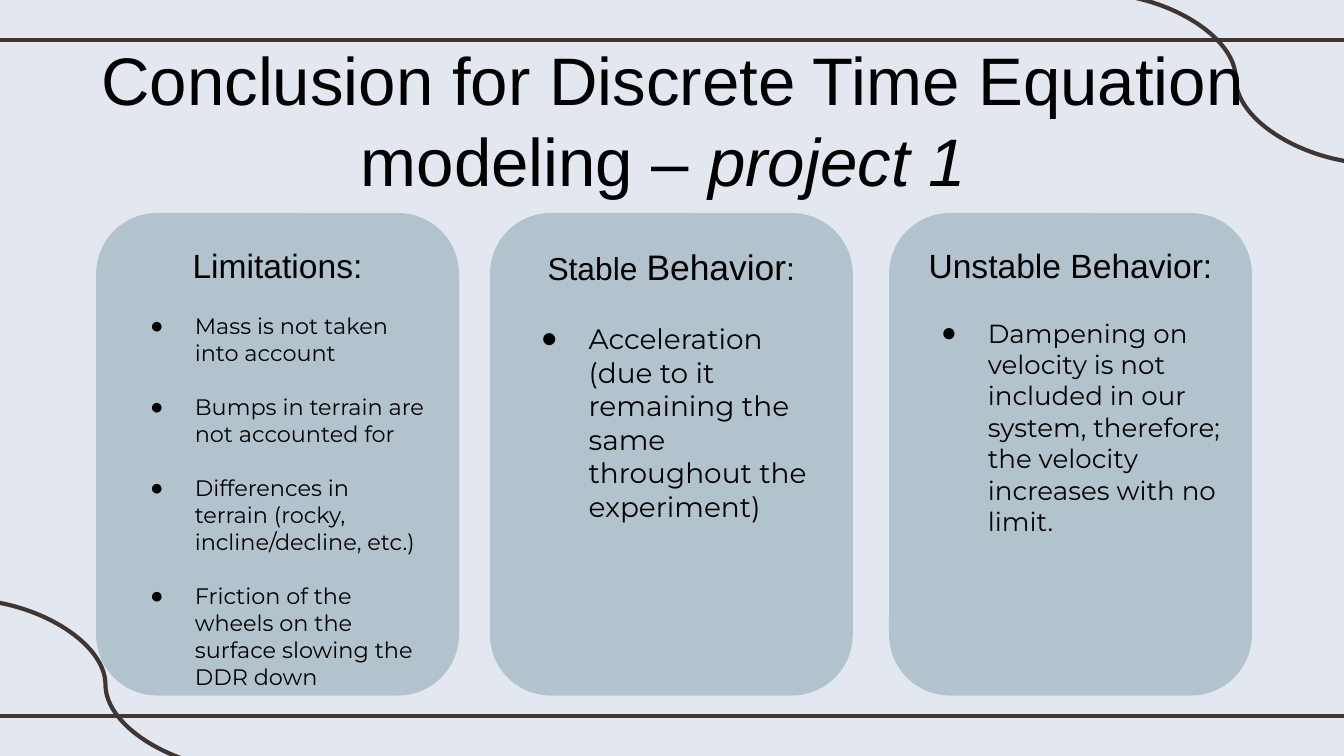
from dataclasses import dataclass

from lxml import etree
from pptx import Presentation
from pptx.dml.color import RGBColor
from pptx.enum.shapes import MSO_CONNECTOR, MSO_SHAPE
from pptx.enum.text import MSO_ANCHOR, MSO_AUTO_SIZE, PP_ALIGN
from pptx.oxml.ns import qn
from pptx.util import Inches, Pt

STRAIGHT, CURVE = MSO_CONNECTOR.STRAIGHT, MSO_CONNECTOR.CURVE
ROUNDED = MSO_SHAPE.ROUNDED_RECTANGLE
TOP = MSO_ANCHOR.TOP
NO_FIT = MSO_AUTO_SIZE.NONE
LEFT, CENTER = PP_ALIGN.LEFT, PP_ALIGN.CENTER


@dataclass(frozen=True)
class Theme:
    """Colours, fonts and type sizes of the deck."""
    background: str = "E3E7F0"
    card: str = "B3C3CE"
    rule: str = "3F3533"
    text: str = "000000"
    heading_font: str = "Arial"
    body_font: str = "Montserrat"
    title_size: float = 36
    title_pitch: float = 43.4
    line_height: float = 1.22
    rule_width: float = 2.25
    card_border: float = 0.75


class Deck:
    """Draws on the current slide, on a grid of 100 columns over its width."""

    def __init__(self, prs, theme):
        """Keep the style and open a title-only slide."""
        self.prs, self.theme = prs, theme
        self.s = prs.slides.add_slide(prs.slide_layouts[5])
        self.paint(self.s.background.fill, theme.background)

    def grid(self, *cells):
        """Turn grid cells into lengths."""
        return [round(self.prs.slide_width * c / 100) for c in cells]

    def paint(self, fill, color):
        """Give a fill one solid colour."""
        fill.solid()
        fill.fore_color.rgb = RGBColor.from_string(color)

    def line(self, kind, *ends):
        """Draw a decorative line between two points."""
        sp = self.s.shapes.add_connector(kind, *self.grid(*ends))
        self.paint(sp.line.fill, self.theme.rule)
        sp.line.width = Pt(self.theme.rule_width)
        etree.SubElement(sp._element.spPr, qn("a:effectLst"))

    def frame(self, sp):
        """Prepare a shape's text frame."""
        tf = sp.text_frame
        tf.word_wrap, tf.auto_size, tf.vertical_anchor = True, NO_FIT, TOP
        tf.margin_left = tf.margin_right = Inches(0.1)
        tf.margin_top = tf.margin_bottom = Inches(0.1)
        return tf

    def run(self, p, text, size, font, italic=False):
        """Add one styled run."""
        r = p.add_run()
        r.text = text
        r.font.size, r.font.name, r.font.italic = Pt(size), font, italic
        r.font.color.rgb = RGBColor.from_string(self.theme.text)

    def title(self, box, parts):
        """Fill the title placeholder and bring it above the lines."""
        sp = self.s.shapes.title
        sp.left, sp.top, sp.width, sp.height = self.grid(*box)
        sp._element.getparent().append(sp._element)
        p = self.frame(sp).paragraphs[0]
        p.alignment, p.line_spacing = CENTER, Pt(self.theme.title_pitch)
        for text, italic in parts:
            self.run(p, text, self.theme.title_size, self.theme.heading_font, italic)

    def bullet(self, tf, text, size):
        """Add a bulleted paragraph one line below the last."""
        p = tf.add_paragraph()
        pPr = p._p.get_or_add_pPr()
        pPr.set("marL", str(Inches(0.5)))
        pPr.set("indent", str(-Inches(0.25 + size / 144)))
        color = etree.SubElement(pPr, qn("a:buClr"))
        etree.SubElement(color, qn("a:srgbClr"), val=self.theme.text)
        etree.SubElement(pPr, qn("a:buFont"), typeface=self.theme.heading_font)
        etree.SubElement(pPr, qn("a:buChar"), char="●")
        p.alignment = LEFT
        p.space_before = Pt(round(size * self.theme.line_height, 1))
        self.run(p, text, size, self.theme.body_font)

    def card(self, box, heading, size, bullets):
        """Draw a rounded card with a heading and a list."""
        sp = self.s.shapes.add_shape(ROUNDED, *self.grid(*box))
        sp.shadow.inherit = False
        self.paint(sp.fill, self.theme.card)
        self.paint(sp.line.fill, self.theme.card)
        sp.line.width = Pt(self.theme.card_border)
        tf = self.frame(sp)
        p = tf.paragraphs[0]
        p.alignment = CENTER
        for text, heading_size in heading:
            self.run(p, text, heading_size, self.theme.heading_font)
        for text in bullets:
            self.bullet(tf, text, size)


CARDS = [
    (7.2, [("Limitations:", 18)], 12, [
        "Mass is not taken into account",
        "Bumps in terrain are not accounted for",
        "Differences in terrain (rocky, incline/decline, etc.)",
        "Friction of the wheels on the surface slowing the DDR down"]),
    (36.5, [("Stable ", 17), ("Behavior", 19), (":", 17)], 15, [
        "Acceleration (due to it remaining the same throughout the experiment)"]),
    (66.2, [("Unstable Behavior:", 18)], 14, [
        "Dampening on velocity is not included in our system, therefore; "
        "the velocity increases with no limit."]),
]


def main():
    """Build and save the slide."""
    prs = Presentation()
    prs.slide_width = Inches(10)
    prs.slide_height = prs.slide_width * 9 // 16
    deck = Deck(prs, Theme())
    for y in (3, 53.3):
        deck.line(STRAIGHT, -0.8, y, 100.8, y)
    for x, y in ((-2.7, 44.6), (81.4, -0.5)):
        deck.line(CURVE, x, y, x + 21.1, y + 12.7)
    deck.title((4.9, 1.8, 90.3, 12.3), [
        ("Conclusion for Discrete Time Equation modeling – ", False),
        ("project 1 ", True)])
    for left, heading, size, bullets in CARDS:
        deck.card((left, 15.9, 26.9, 35.8), heading, size, bullets)
    prs.save("out.pptx")


if __name__ == "__main__":
    main()
